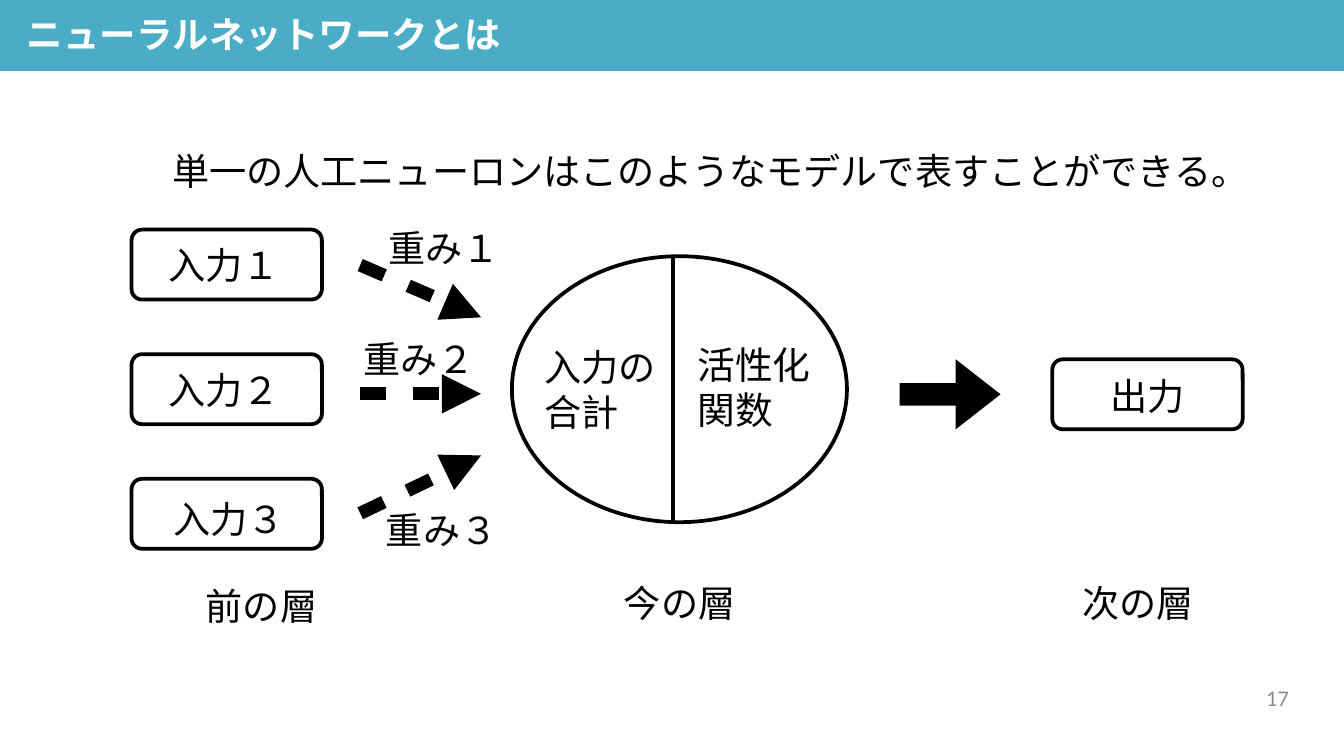
"""Build a slide that explains the model of a single artificial neuron."""
import pptx
import pptx.dml.color
import pptx.enum.shapes
import pptx.enum.text
import pptx.oxml.ns
import pptx.util
from lxml import etree

Pt = pptx.util.Pt
qn = pptx.oxml.ns.qn
SHAPES = pptx.enum.shapes.MSO_SHAPE
STRAIGHT = pptx.enum.shapes.MSO_CONNECTOR.STRAIGHT
ANCHOR = pptx.enum.text.MSO_ANCHOR
ALIGN = pptx.enum.text.PP_ALIGN
JAPANESE = "Noto Sans CJK JP"
LATIN = "Calibri"


def color(value):
    return pptx.dml.color.RGBColor.from_string(value)


def write(shape, lines, size=19.9, ink="000000", name=JAPANESE, margins=(1.5, 1.5, 1.5, 1.5)):
    frame = shape.text_frame
    frame.word_wrap = False
    frame.vertical_anchor = ANCHOR.MIDDLE
    frame.margin_left, frame.margin_top, frame.margin_right, frame.margin_bottom = map(Pt, margins)
    for index, line in enumerate(lines):
        para = frame.add_paragraph() if index else frame.paragraphs[0]
        para.alignment = ALIGN.LEFT
        para.font.size = Pt(size)
        para.font.name = name
        para.font.color.rgb = color(ink)
        properties = para._p.pPr.find(qn("a:defRPr"))
        etree.SubElement(properties, qn("a:ea")).set("typeface", name)
        words = line.rstrip("１２３")
        para.add_run().text = words
        if words != line:
            digit = para.add_run()
            digit.text = line[len(words):]
            digit.font.name = LATIN
            etree.SubElement(digit._r.rPr, qn("a:ea")).set("typeface", LATIN)
    return frame


deck = pptx.Presentation()
deck.slide_width, deck.slide_height = Pt(720), Pt(405)
page = deck.slides.add_slide(deck.slide_layouts[5])

title = page.shapes.title
title.left, title.top, title.width, title.height = Pt(0), Pt(-1.5), Pt(720), Pt(39.5)
title.fill.solid()
title.fill.fore_color.rgb = color("4BACC6")
title_frame = write(title, ["ニューラルネットワークとは"], 19.5, "FFFFFF", margins=(14.4, 5.8, 1.5, 5.8))
title_frame.word_wrap = True
title_frame.paragraphs[0].font.bold = True

outlines = [(SHAPES.ROUNDED_RECTANGLE, 70.5, 123 + 66.75 * row, 102, 37.5) for row in range(3)]
outlines += [
    (SHAPES.OVAL, 274.25, 137.25, 179.5, 142.5),
    (SHAPES.ROUNDED_RECTANGLE, 563.75, 192.5, 102, 37.5),
]
for kind, left, top, width, height in outlines:
    outline = page.shapes.add_shape(kind, Pt(left), Pt(top), Pt(width), Pt(height))
    outline.shadow.inherit = False
    outline.fill.background()
    outline.line.color.rgb = color("000000")
    outline.line.width = Pt(2)
    if kind == SHAPES.ROUNDED_RECTANGLE:
        outline.adjustments[0] = 0.15

output_arrow = page.shapes.add_shape(SHAPES.RIGHT_ARROW, Pt(482), Pt(192.5), Pt(54), Pt(37.5))
output_arrow.shadow.inherit = False
output_arrow.fill.solid()
output_arrow.fill.fore_color.rgb = color("000000")
output_arrow.line.fill.background()
output_arrow.adjustments[0] = 0.32
output_arrow.adjustments[1] = 0.64

connectors = [
    (193, 142, 257.75, 170, True),
    (193, 211, 257.75, 211, True),
    (193, 275, 257.75, 244, True),
    (360.75, 280, 360.75, 137, False),
]
for start_x, start_y, end_x, end_y, weighted in connectors:
    connector = page.shapes.add_connector(STRAIGHT, Pt(start_x), Pt(start_y), Pt(end_x), Pt(end_y))
    connector.line.color.rgb = color("000000")
    connector.line.width = Pt(7 if weighted else 2)
    if weighted:
        stroke = connector.line._get_or_add_ln()
        dashes = etree.SubElement(stroke, qn("a:custDash"))
        dash = etree.SubElement(dashes, qn("a:ds"))
        dash.set("d", "200000")
        dash.set("sp", "200000")
        head = etree.SubElement(stroke, qn("a:tailEnd"))
        head.set("type", "triangle")
    etree.SubElement(connector._element.spPr, qn("a:effectLst"))

labels = [
    (90.75, 77.75, 585.25, 27.5, ["単一の人工ニューロンはこのようなモデルで表すことができる。"]),
    (88.5, 128.25, 63.25, 27.5, ["入力１"]),
    (88.5, 195, 63.25, 27.5, ["入力２"]),
    (91.5, 264.25, 63.25, 27.5, ["入力３"]),
    (206.5, 118.75, 63.25, 27.5, ["重み１"]),
    (193, 178.5, 63.25, 27.5, ["重み２"]),
    (205.25, 270, 63.25, 27.5, ["重み３"]),
    (290.25, 183, 63.25, 51, ["入力の", "合計"]),
    (372.25, 181.5, 64, 52, ["活性化", "関数"]),
    (593.25, 198, 43.25, 27.5, ["出力"]),
    (108.75, 311, 63.25, 27.5, ["前の層"]),
    (332.75, 309, 63.25, 27.5, ["今の層"]),
    (578.25, 309, 63.25, 27.5, ["次の層"]),
]
for left, top, width, height, lines in labels:
    label = page.shapes.add_textbox(Pt(left), Pt(top), Pt(width), Pt(height))
    write(label, lines, 20.2 if lines[0] == "活性化" else 19.9)

number = page.shapes.add_textbox(Pt(671), Pt(352), Pt(19.5), Pt(29))
number_frame = write(number, ["17"], 12, "8C8C8C", LATIN, (0, 0, 0, 0))
number_frame.word_wrap = True
number_frame.vertical_anchor = ANCHOR.BOTTOM
number_frame.paragraphs[0].alignment = ALIGN.RIGHT

deck.save("out.pptx")
